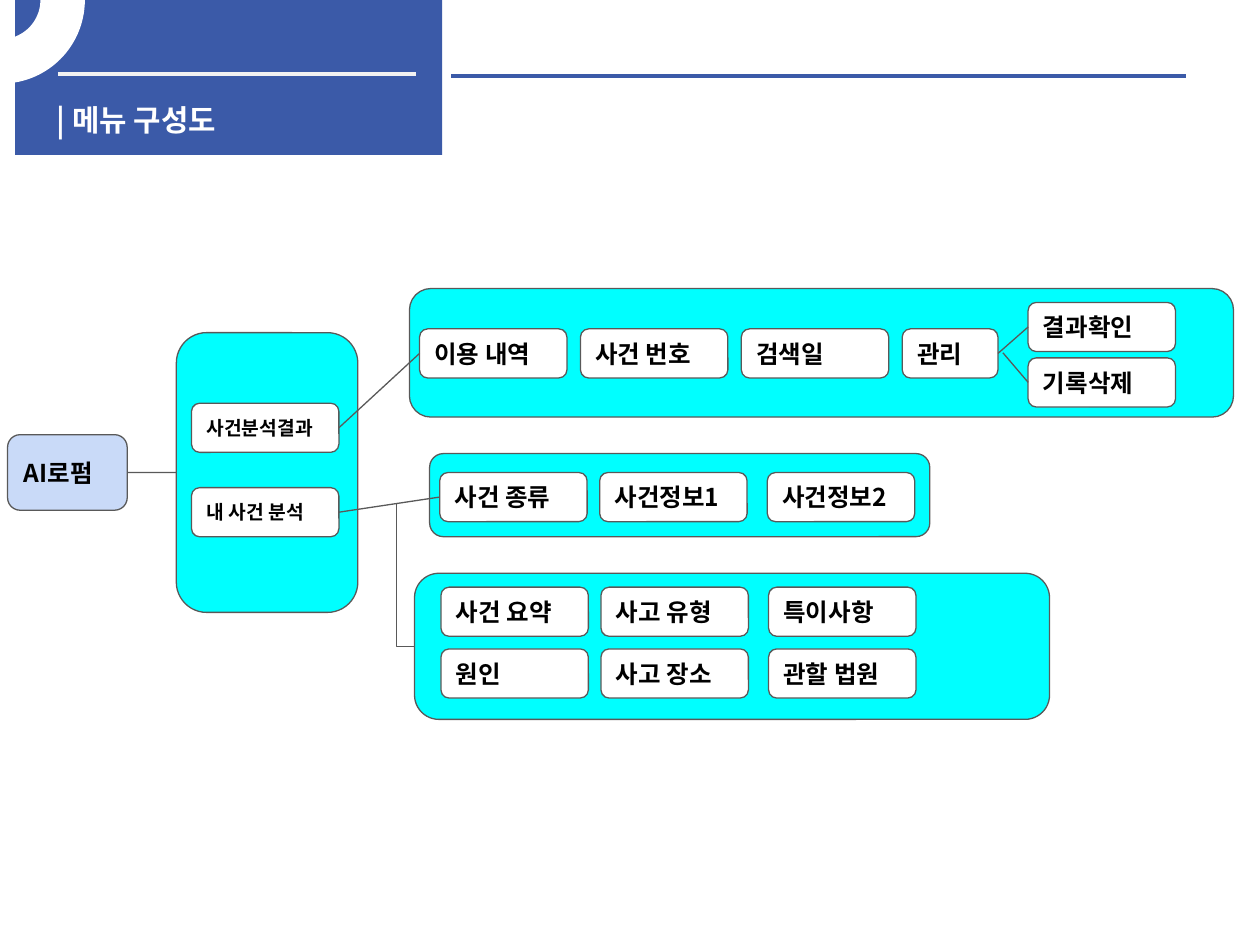
import math
from dataclasses import dataclass

import lxml.etree
import pptx
import pptx.util
import pptx.dml.color
import pptx.enum.shapes
import pptx.enum.text
import pptx.oxml.ns

SHAPE = pptx.enum.shapes.MSO_SHAPE
LINK = pptx.enum.shapes.MSO_CONNECTOR
ANCHOR = pptx.enum.text.MSO_ANCHOR
ALIGN = pptx.enum.text.PP_ALIGN
COLS, ROWS = 100, 75
TOP, LEFT, BOTTOM, RIGHT = range(4)


@dataclass(frozen=True)
class Theme:
    font: str = "Noto Sans CJK KR"
    navy: str = "3B5AA8"
    cyan: str = "00FFFF"
    pale: str = "C9DAF8"
    white: str = "FFFFFF"
    mist: str = "F2F2F2"
    gray: str = "595959"
    black: str = "000000"
    title: float = 17
    body: float = 14
    small: float = 11
    thin: float = 0.75
    ring: float = 2
    rule: float = 2.25


THEME = Theme()
NODE = (11.7, 3.9)


def grid(*cells):
    return [pptx.util.Inches(cell / 10) for cell in cells]


def rgb(code):
    return pptx.dml.color.RGBColor.from_string(code)


def write(shape, text, size=THEME.body, color=THEME.black, anchor=ANCHOR.MIDDLE, pad=1):
    frame = shape.text_frame
    frame.word_wrap = True
    frame.auto_size = pptx.enum.text.MSO_AUTO_SIZE.NONE
    frame.vertical_anchor = anchor
    frame.margin_left, frame.margin_right = grid(1, 1)
    frame.margin_top, frame.margin_bottom = grid(pad, pad)
    para = frame.paragraphs[0]
    para.alignment = ALIGN.LEFT
    run = para.add_run()
    run.text = text
    font = run.font
    font.size = pptx.util.Pt(size)
    font.bold = True
    font.color.rgb = rgb(color)
    font.name = THEME.font
    for props in shape.element.iter(pptx.oxml.ns.qn("a:rPr")):
        east = lxml.etree.SubElement(props, pptx.oxml.ns.qn("a:ea"))
        east.set("typeface", THEME.font)


def paint(shape, fill, line=None, width=THEME.thin):
    shape.shadow.inherit = False
    shape.fill.solid()
    shape.fill.fore_color.rgb = rgb(fill)
    if line:
        shape.line.color.rgb = rgb(line)
        shape.line.width = pptx.util.Pt(width)
    else:
        shape.line.fill.background()
    return shape


def panel(slide, *cells, fill=THEME.cyan):
    shape = slide.shapes.add_shape(SHAPE.ROUNDED_RECTANGLE, *grid(*cells))
    return paint(shape, fill, THEME.gray)


def node(slide, text, left, top, size=THEME.body, wide=NODE[0]):
    shape = panel(slide, left, top, wide, NODE[1], fill=THEME.white)
    write(shape, text, size)
    return shape


def row(slide, texts, lefts, top):
    return [node(slide, text, left, top) for text, left in zip(texts, lefts)]


def wire(slide, start, end, color=THEME.gray, width=THEME.thin, kind=LINK.STRAIGHT):
    line = slide.shapes.add_connector(kind, *grid(*start, *end))
    line.line.color.rgb = rgb(color)
    line.line.width = pptx.util.Pt(width)
    lxml.etree.SubElement(line.element.spPr, pptx.oxml.ns.qn("a:effectLst"))
    return line


def join(slide, first, last):
    line = wire(slide, (0, 0), (1, 1))
    line.begin_connect(first, RIGHT)
    line.end_connect(last, LEFT)


def elbow(slide, start, end):
    midx, midy = (start[0] + end[0]) / 2, (start[1] + end[1]) / 2
    halfx, halfy = (end[1] - start[1]) / 2, (end[0] - start[0]) / 2
    line = wire(slide, (midx - halfx, midy - halfy), (midx + halfx, midy + halfy),
                kind=LINK.ELBOW)
    props = line.element.spPr
    props.find(pptx.oxml.ns.qn("a:prstGeom")).set("prst", "bentConnector2")
    frame = props.find(pptx.oxml.ns.qn("a:xfrm"))
    frame.set("rot", str(270 * 60000))
    frame.set("flipH", "1")


def arc(radius, angles):
    return [tuple(grid(0.1 + radius * math.cos(math.radians(angle)),
                       radius * math.sin(math.radians(angle)))) for angle in angles]


def ring(slide, outer, inner):
    points = arc(outer, range(0, 91, 3)) + arc(inner, range(90, -1, -3))
    form = slide.shapes.build_freeform(*points[0])
    form.add_line_segments(points[1:], close=True)
    paint(form.convert_to_shape(), THEME.white, THEME.white, THEME.ring)


def header(slide):
    band = slide.shapes.add_shape(SHAPE.RECTANGLE, *grid(1.2, 0, 33.9, 12.3))
    paint(band, THEME.navy)
    wire(slide, (4.6, 5.9), (33, 5.9), THEME.mist, THEME.rule)
    wire(slide, (35.8, 6), (94.1, 6), THEME.navy, THEME.rule)
    title = slide.shapes.title
    title.left, title.top, title.width, title.height = grid(3.5, 7.6, 32.3, 3)
    write(title, "| 메뉴 구성도", THEME.title, THEME.white, ANCHOR.TOP, 0.5)
    title.element.getparent().append(title.element)
    ring(slide, 6.5, 3.25)


def tree(slide):
    hub = panel(slide, 14, 26.4, 14.4, 22.2)
    root = panel(slide, 0.6, 34.5, 9.5, 6, fill=THEME.pale)
    write(root, "AI로펌")
    result = node(slide, "사건분석결과", 15.2, 32, THEME.small)
    mine = node(slide, "내 사건 분석", 15.2, 38.7, THEME.small)

    panel(slide, 32.5, 22.9, 65.4, 10.2)
    lefts = [33.3 + 12.77 * col for col in range(4)]
    usage = row(slide, ("이용 내역", "사건 번호", "검색일"), lefts, 26.1)[0]
    manage = node(slide, "관리", lefts[3], 26.1, wide=7.6)
    check = node(slide, "결과확인", 81.6, 24)
    erase = node(slide, "기록삭제", 81.6, 28.4)
    join(slide, manage, check)
    wire(slide, (79.6, 28), (81.6, 30.4)).end_connect(erase, LEFT)

    panel(slide, 34.1, 36, 39.7, 6.6)
    steps = (0, 12.7, 26)
    kind = row(slide, ("사건 종류", "사건정보1", "사건정보2"),
               [34.9 + step for step in steps], 37.5)[0]

    panel(slide, 32.9, 45.5, 50.4, 11.6)
    details = (("사건 요약", "사고 유형", "특이사항"), ("원인", "사고 장소", "관할 법원"))
    for index, texts in enumerate(details):
        row(slide, texts, [35 + step for step in steps], 46.6 + 4.9 * index)

    for first, last in ((root, hub), (result, usage), (mine, kind)):
        join(slide, first, last)
    elbow(slide, (31.5, 40), (32.9, 51.3))


def main():
    deck = pptx.Presentation()
    deck.slide_width, deck.slide_height = grid(COLS, ROWS)
    slide = deck.slides.add_slide(deck.slide_layouts[5])
    header(slide)
    tree(slide)
    deck.save("out.pptx")


if __name__ == "__main__":
    main()
